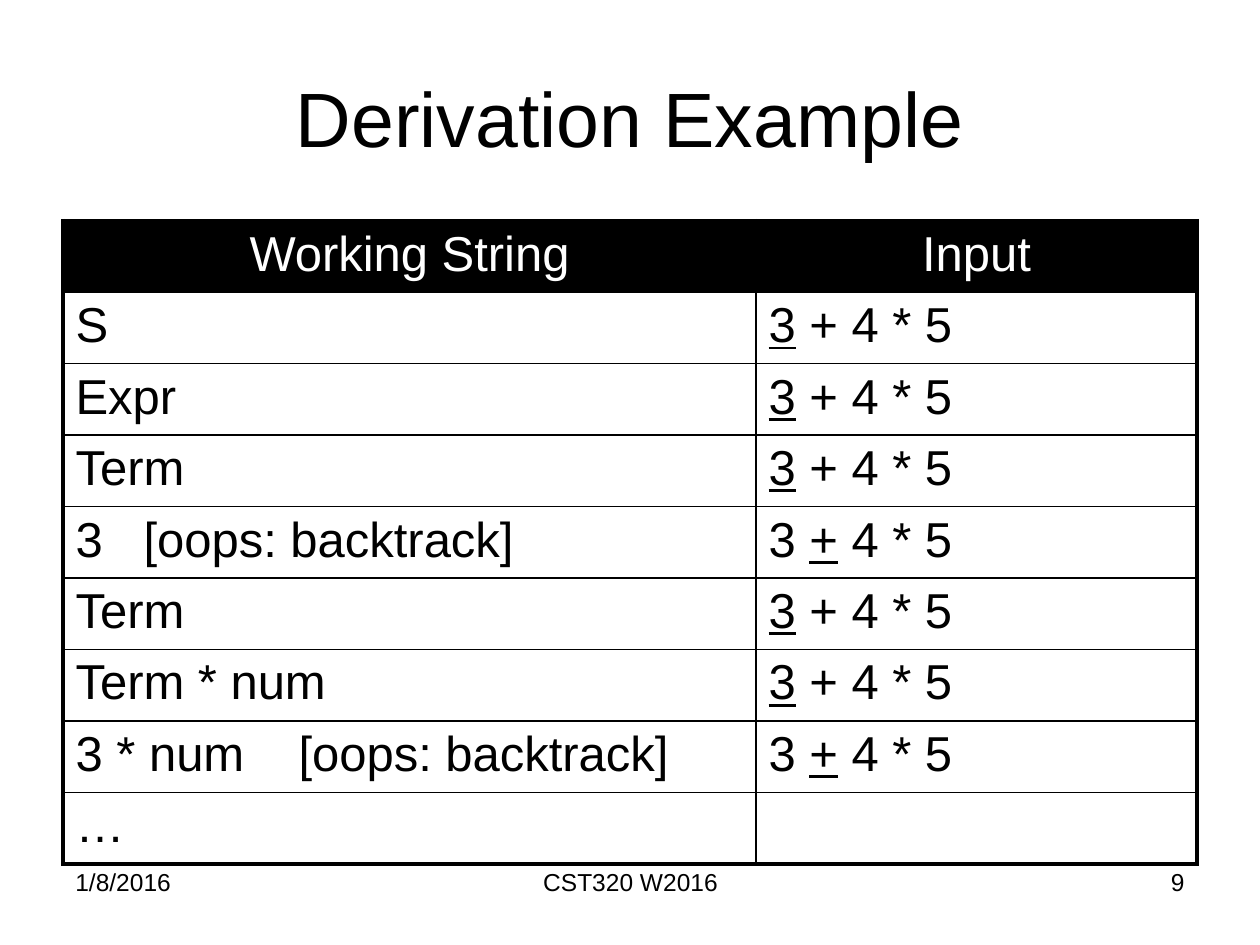
from lxml import etree
from pptx import Presentation
from pptx.dml.color import RGBColor
from pptx.enum.text import MSO_ANCHOR, PP_ALIGN
from pptx.oxml.ns import qn
from pptx.util import Inches, Pt

LEFT, CENTER, RIGHT = PP_ALIGN.LEFT, PP_ALIGN.CENTER, PP_ALIGN.RIGHT
TOP, MIDDLE = MSO_ANCHOR.TOP, MSO_ANCHOR.MIDDLE
BLACK, WHITE = "000000", "FFFFFF"


def color(code):
    return RGBColor.from_string(code)


def style(para, size, code, align):
    para.alignment = align
    for run in para.runs:
        run.font.name = "Arial"
        run.font.size = Pt(size)
        run.font.color.rgb = color(code)


prs = Presentation()
prs.slide_width, prs.slide_height = Inches(10), Inches(7.5)
slide = prs.slides.add_slide(prs.slide_layouts[6])

labels = [
    ("1/8/2016", 0.5, 6.83, 2.33, 0.52, 14, LEFT, TOP),
    ("CST320 W2016", 3.42, 6.83, 3.17, 0.52, 14, CENTER, TOP),
    ("9", 7.17, 6.83, 2.33, 0.52, 14, RIGHT, TOP),
    ("Derivation Example", 0.5, 0.3, 9, 1.25, 44, CENTER, MIDDLE),
]
for text, left, top, width, height, size, align, anchor in labels:
    box = slide.shapes.add_textbox(Inches(left), Inches(top), Inches(width), Inches(height))
    frame = box.text_frame
    frame.word_wrap = True
    frame.vertical_anchor = anchor
    frame.text = text
    style(frame.paragraphs[0], size, BLACK, align)

first = ("", "3", " + 4 * 5")
second = ("3 ", "+", " 4 * 5")
steps = [
    ("Working String", ("Input",)),
    ("S", first),
    ("Expr", first),
    ("Term", first),
    ("3\t[oops: backtrack]", second),
    ("Term", first),
    ("Term * num", first),
    ("3 * num\t[oops: backtrack]", second),
    ("…", ()),
]
tabs = {4: 0.54, 7: 1.77}
count = len(steps)

table = slide.shapes.add_table(count, 2, Inches(0.5), Inches(1.75), Inches(9), Inches(5.1)).table
table.first_row = True
table.horz_banding = False
table.columns[0].width = Inches(5.5)
table.columns[1].width = Inches(3.5)

for row, (work, parts) in enumerate(steps):
    head = row == 0
    for col, texts in enumerate([(work,), parts]):
        cell = table.cell(row, col)
        para = cell.text_frame.paragraphs[0]
        for spot, text in enumerate(texts):
            if text:
                run = para.add_run()
                run.text = text
                if spot == 1:
                    run.font.underline = True
        style(para, 28, WHITE if head else BLACK, CENTER if head else LEFT)
        if col == 0 and row in tabs:
            stops = etree.SubElement(para._p.get_or_add_pPr(), qn("a:tabLst"))
            etree.SubElement(stops, qn("a:tab"), pos=str(Inches(tabs[row])), algn="l")

        props = cell._tc.get_or_add_tcPr()
        outer = {"lnL": col == 0, "lnR": col == 1, "lnT": head, "lnB": row == count - 1}
        for side, edge in outer.items():
            line = etree.SubElement(props, qn("a:" + side), w=str(Pt(2.25 if edge else 1)))
            fill = etree.SubElement(line, qn("a:solidFill"))
            etree.SubElement(fill, qn("a:srgbClr"), val=BLACK)
        if head:
            cell.fill.solid()
            cell.fill.fore_color.rgb = color(BLACK)
        else:
            cell.fill.background()

prs.save("out.pptx")
